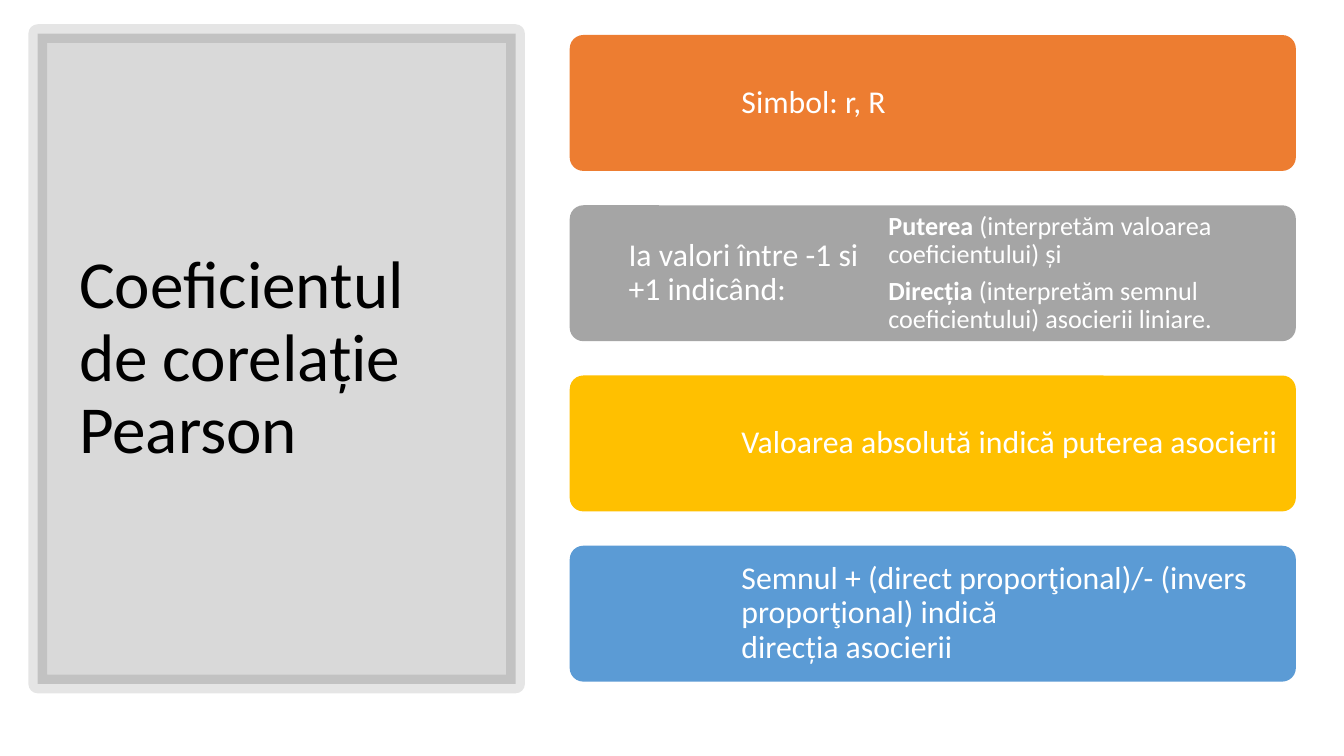
from dataclasses import dataclass
from lxml.etree import SubElement
from pptx import Presentation
from pptx.dml.color import RGBColor as Color
from pptx.enum.shapes import MSO_SHAPE as Shape
from pptx.enum.text import MSO_ANCHOR as Anchor
from pptx.oxml.ns import qn
from pptx.util import Pt


@dataclass(frozen=True)
class Theme:
    font: str = "Calibri"
    black: Color = Color(0, 0, 0)
    white: Color = Color(255, 255, 255)
    orange: Color = Color.from_string("ED7D31")
    gray: Color = Color.from_string("A5A5A5")
    yellow: Color = Color.from_string("FFC000")
    blue: Color = Color.from_string("5B9BD5")
    title_size: int = 36
    body_size: int = 17
    detail_size: int = 14


theme = Theme()


def set_opacity(fill, percent):
    fill.solid()
    fill.fore_color.rgb = theme.black
    color = fill._xPr.find(qn("a:solidFill"))[0]
    SubElement(color, qn("a:alpha"), val=str(percent * 1000))


def add_text(box, paragraphs, size, color, inset):
    text_box = slide.shapes.add_textbox(*(Pt(length) for length in box))
    text_frame = text_box.text_frame
    text_frame.word_wrap = True
    text_frame.vertical_anchor = Anchor.MIDDLE
    text_frame.margin_left = text_frame.margin_right = Pt(inset)
    text_frame.margin_top = text_frame.margin_bottom = Pt(inset)
    text_frame.text = "\n".join(lead for lead, rest in paragraphs)
    for paragraph, (lead, rest) in zip(text_frame.paragraphs, paragraphs):
        paragraph.line_spacing = 0.9
        paragraph.space_after = Pt(4.5)
        if rest:
            paragraph.runs[0].font.bold = True
            paragraph.add_run().text = rest
        for run in paragraph.runs:
            run.font.name = theme.font
            run.font.size = Pt(size)
            run.font.color.rgb = color


presentation = Presentation()
presentation.slide_width = Pt(720)
presentation.slide_height = Pt(405)
slide = presentation.slides.add_slide(presentation.slide_layouts[6])

panel = slide.shapes.add_shape(Shape.RECTANGLE, Pt(20.2), Pt(18), Pt(256), Pt(348.5))
panel.shadow.inherit = False
set_opacity(panel.fill, 15)
panel.line.width = Pt(10)
set_opacity(panel.line.fill, 10)
add_text((35.3, 37.4, 224.6, 310.3), [("Coeficientul de corelație Pearson", "")],
         theme.title_size, theme.black, 7.2)

wide_left, wide_width = 389.5, 304.8
main_column = (wide_left, wide_width, theme.body_size)
label_column = (329, 157.7, theme.body_size)
detail_column = (468.2, 215.3, theme.detail_size)
bars = [
    (theme.orange, [(main_column, [("Simbol: r, R", "")])]),
    (theme.gray, [
        (label_column, [("Ia valori între -1 si +1 indicând:", "")]),
        (detail_column, [
            ("Puterea", " (interpretăm valoarea coeficientului) și"),
            ("Direcția ", "(interpretăm semnul coeficientului) asocierii liniare."),
        ]),
    ]),
    (theme.yellow, [(main_column, [("Valoarea absolută indică puterea asocierii", "")])]),
    (theme.blue, [(main_column, [
        ("Semnul + (direct proporţional)/- (invers proporţional) indică\vdirecția asocierii", ""),
    ])]),
]
bar_top, bar_height, bar_step = 18.8, 72.8, 91.2

for index, (color, texts) in enumerate(bars):
    top = bar_top + index * bar_step
    bar = slide.shapes.add_shape(Shape.ROUNDED_RECTANGLE, Pt(305.2), Pt(top), Pt(389), Pt(bar_height))
    bar.adjustments[0] = 0.1
    bar.shadow.inherit = False
    bar.fill.solid()
    bar.fill.fore_color.rgb = color
    bar.line.fill.background()
    for (left, width, size), paragraphs in texts:
        add_text((left, top, width, bar_height), paragraphs, size, theme.white, 7.7)

presentation.save("out.pptx")
